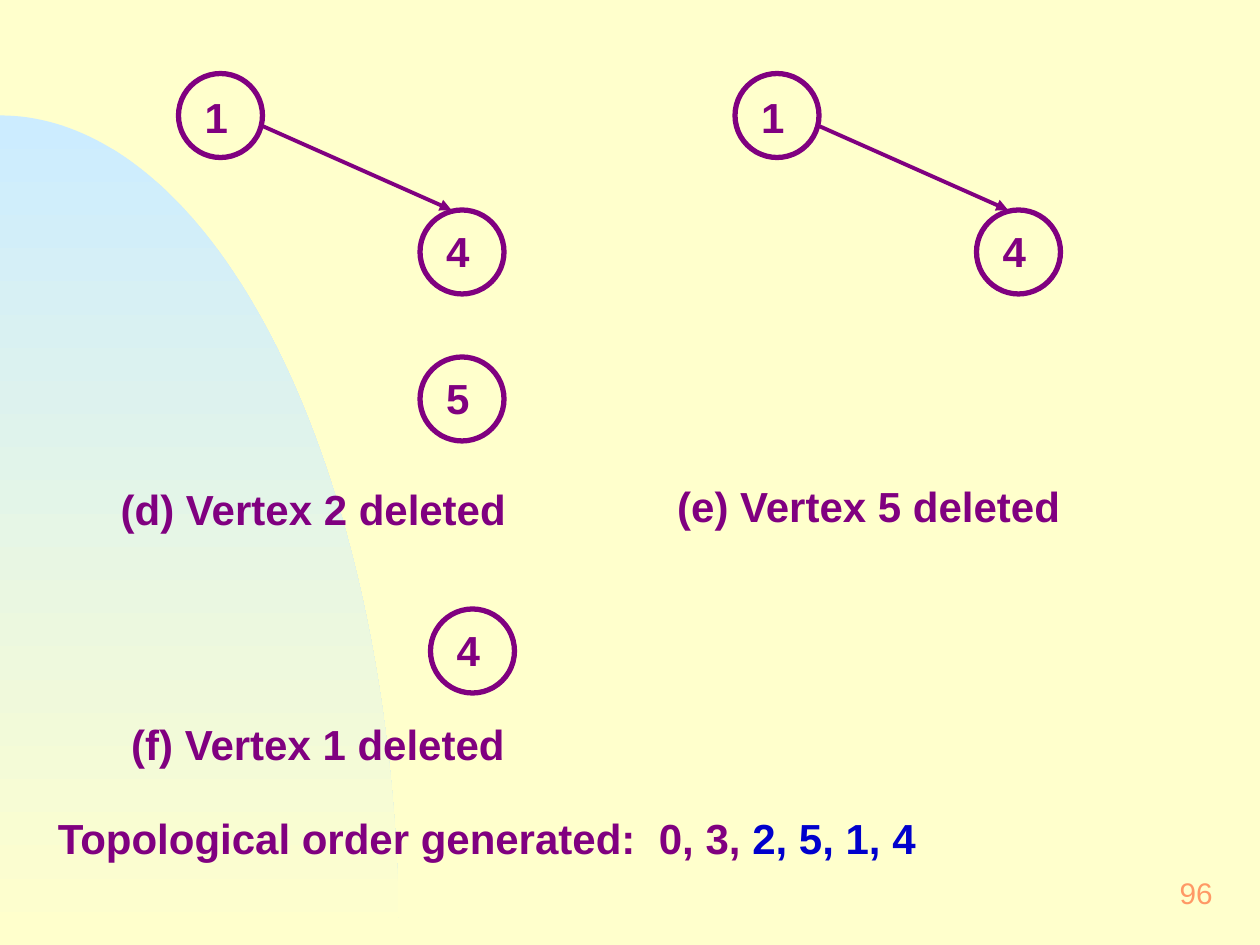
import math

import lxml.etree
import pptx
import pptx.dml.color
import pptx.enum.dml
import pptx.enum.shapes
import pptx.enum.text
import pptx.oxml.ns
import pptx.util

Pt = pptx.util.Pt
RGBColor = pptx.dml.color.RGBColor
qn = pptx.oxml.ns.qn

CREAM = RGBColor(0xFF, 0xFF, 0xCC)
SKY = RGBColor(0xCC, 0xEC, 0xFF)
PURPLE = RGBColor(0x80, 0x00, 0x80)
BLUE = RGBColor(0x00, 0x00, 0xCC)
ORANGE = RGBColor(0xFF, 0x99, 0x66)

deck = pptx.Presentation()
deck.slide_width = Pt(720)
deck.slide_height = Pt(540)
slide = deck.slides.add_slide(deck.slide_layouts[6])
slide.background.fill.solid()
slide.background.fill.fore_color.rgb = CREAM


def add_text(left, top, width, height, text, size=24, color=PURPLE, bold=True):
    box = slide.shapes.add_textbox(Pt(left), Pt(top), Pt(width), Pt(height))
    frame = box.text_frame
    frame.word_wrap = True
    frame.margin_left = frame.margin_right = Pt(9)
    frame.margin_top = frame.margin_bottom = Pt(4.5)
    frame.text = text
    font = frame.paragraphs[0].runs[0].font
    font.name = "Arial"
    font.size = Pt(size)
    font.bold = bold
    font.color.rgb = color
    return box


# Quarter ellipse fading down the left edge
radius_x, radius_y, steps = 228, 474, 90
arc = []
for step in range(steps + 1):
    angle = math.pi / 2 * step / steps
    arc.append((Pt(radius_x * math.sin(angle)), Pt(540 - radius_y * math.cos(angle))))
builder = slide.shapes.build_freeform(*arc[0])
builder.add_line_segments(arc[1:] + [(0, Pt(540))], close=True)
hill = builder.convert_to_shape()
hill.shadow.inherit = False
hill.line.fill.background()
hill.fill.gradient()
hill.fill.gradient_angle = 270
for stop, color in zip(hill.fill.gradient_stops, (SKY, CREAM)):
    stop.color.rgb = color

# Page number
page_number = add_text(552, 492, 150, 36, "96", 17, ORANGE, False)
page_number.text_frame.vertical_anchor = pptx.enum.text.MSO_ANCHOR.MIDDLE
page_number.text_frame.paragraphs[0].alignment = pptx.enum.text.PP_ALIGN.RIGHT

# Vertices: number, left, top, drop of the number inside the circle
vertices = [
    ("1", 102, 42, 6),
    ("4", 240, 120, 4.5),
    ("5", 240, 204, 4.5),
    ("1", 420, 42, 6),
    ("4", 558, 120, 4.5),
    ("4", 246, 348, 4.5),
]
for number, left, top, drop in vertices:
    circle = slide.shapes.add_shape(
        pptx.enum.shapes.MSO_SHAPE.OVAL, Pt(left), Pt(top), Pt(48), Pt(48))
    circle.shadow.inherit = False
    circle.fill.background()
    circle.line.color.rgb = PURPLE
    circle.line.width = Pt(3)
    add_text(left + 6, top + drop, 30, 37.5, number)

# Edges from vertex 1 to vertex 4
for left in (150, 468):
    edge = slide.shapes.add_connector(
        pptx.enum.shapes.MSO_CONNECTOR.STRAIGHT,
        Pt(left), Pt(72), Pt(left + 108), Pt(120))
    edge.line.color.rgb = PURPLE
    edge.line.width = Pt(2.25)
    lxml.etree.SubElement(edge.line._get_or_add_ln(), qn("a:tailEnd"), type="triangle")
    lxml.etree.SubElement(edge._element.spPr, qn("a:effectLst"))

# Captions
captions = [
    ("(d) Vertex 2 deleted", 60, 271.5),
    ("(e) Vertex 5 deleted", 378, 270),
    ("(f) Vertex 1 deleted", 66, 406),
]
for caption, left, top in captions:
    add_text(left, top, 252, 37.5, caption)

# Result line, with a tab stop before the order
result = add_text(24, 460, 660, 37.5, "Topological order generated:\t0, 3, ")
para = result.text_frame.paragraphs[0]
tabs = lxml.etree.SubElement(para._p.get_or_add_pPr(), qn("a:tabLst"))
lxml.etree.SubElement(tabs, qn("a:tab"), pos=str(Pt(343.5)), algn="l")
span = para.add_run()
span.text = "2, 5, 1, 4"
span.font.name = "Arial"
span.font.size = Pt(24)
span.font.bold = True
span.font.color.rgb = BLUE

deck.save("out.pptx")
